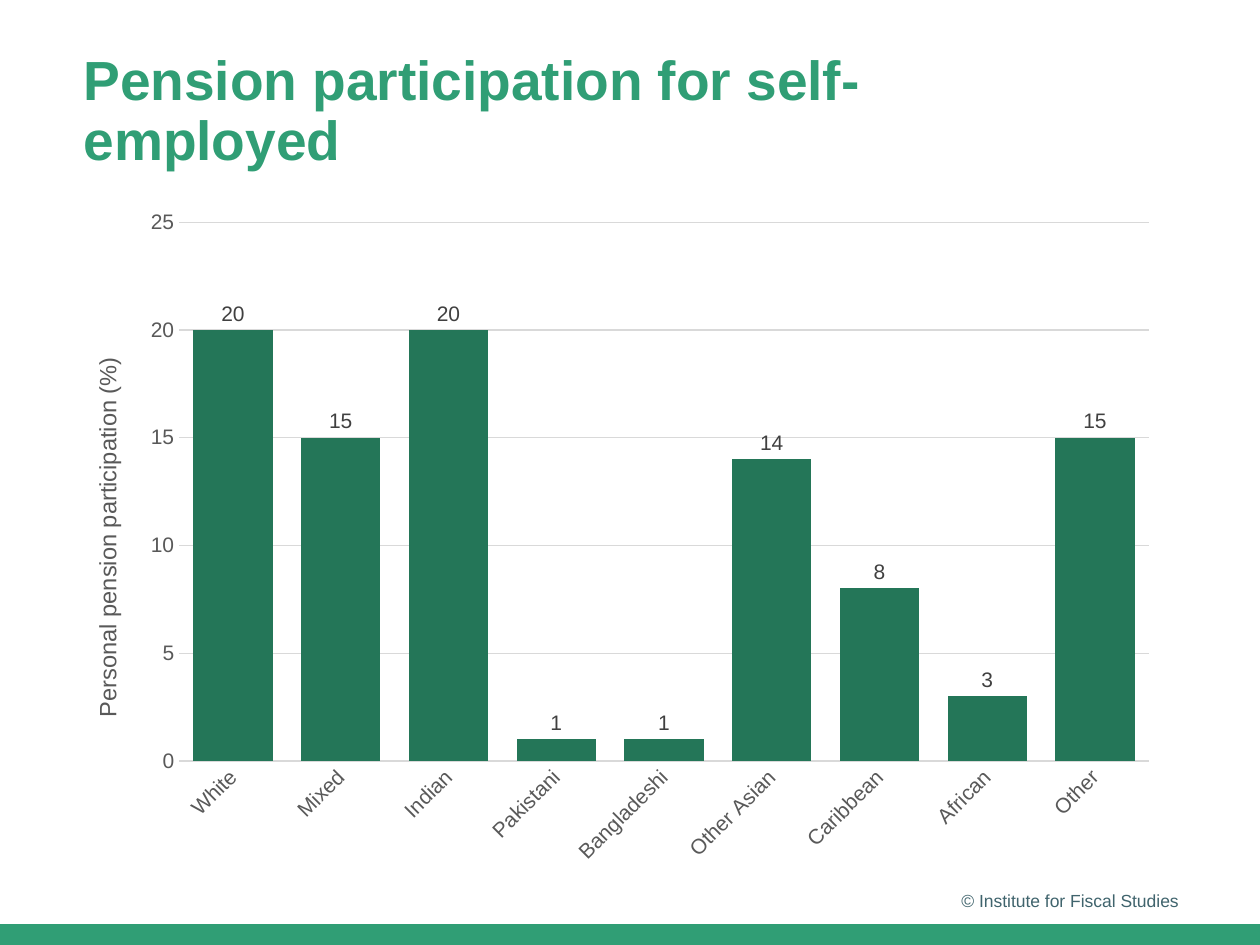
import pptx
import pptx.chart.data
import pptx.dml.color
import pptx.enum.chart
import pptx.enum.shapes
import pptx.enum.text
import pptx.oxml
import pptx.oxml.ns
import pptx.util

RGB = pptx.dml.color.RGBColor
GREEN = RGB(0x30, 0x9E, 0x75)
BAR_GREEN = RGB(0x24, 0x76, 0x58)
SLATE = RGB(0x40, 0x64, 0x6D)
AXIS_GREY = RGB(0x59, 0x59, 0x59)
LABEL_GREY = RGB(0x40, 0x40, 0x40)
GRID_GREY = RGB(0xD9, 0xD9, 0xD9)

RATES = {"White": 20, "Mixed": 15, "Indian": 20, "Pakistani": 1,
         "Bangladeshi": 1, "Other Asian": 14, "Caribbean": 8,
         "African": 3, "Other": 15}
PLOT = {"x": 0.1, "y": 0.04, "w": 0.88, "h": 0.79}


def px(n):
    """Convert pixels to EMU."""
    return pptx.util.Emu(round(n * 914400 / 126))


def set_font(font, size, color, bold=False):
    """Set the Arial font, its size, colour and weight."""
    font.name = "Arial"
    font.size = pptx.util.Pt(size)
    font.bold = bold
    font.color.rgb = color


def add_title(s, x, y, w, h):
    """Place and fill the title placeholder."""
    sp = s.shapes.title
    sp.left, sp.top, sp.width, sp.height = px(x), px(y), px(w), px(h)
    tf = sp.text_frame
    tf.word_wrap = True
    tf.auto_size = pptx.enum.text.MSO_AUTO_SIZE.NONE
    tf.vertical_anchor = pptx.enum.text.MSO_ANCHOR.TOP
    p = tf.paragraphs[0]
    p.alignment = pptx.enum.text.PP_ALIGN.LEFT
    p.line_spacing = 0.9
    r = p.add_run()
    r.text = "Pension participation for self-employed"
    set_font(r.font, 31.5, GREEN, True)


def place_plot(chart):
    """Fix the inner plot area as fractions of the chart."""
    qn = pptx.oxml.ns.qn
    area = chart._chartSpace.find(".//" + qn("c:plotArea"))
    for old in area.findall(qn("c:layout")):
        area.remove(old)
    sizes = "".join(f'<c:{k} val="{v}"/>' for k, v in PLOT.items())
    area.insert(0, pptx.oxml.parse_xml(
        f'<c:layout {pptx.oxml.ns.nsdecls("c")}><c:manualLayout>'
        '<c:layoutTarget val="inner"/><c:xMode val="edge"/>'
        f'<c:yMode val="edge"/>{sizes}</c:manualLayout></c:layout>'))


def format_axes(chart):
    """Style the category and value axes."""
    tick = pptx.enum.chart.XL_TICK_MARK.NONE
    cat, val = chart.category_axis, chart.value_axis
    for axis in (cat, val):
        axis.major_tick_mark = axis.minor_tick_mark = tick
        set_font(axis.tick_labels.font, 12, AXIS_GREY)
    for line in (cat.format.line, val.major_gridlines.format.line):
        line.color.rgb = GRID_GREY
        line.width = pptx.util.Pt(0.75)
    body = cat._element.find(".//" + pptx.oxml.ns.qn("a:bodyPr"))
    body.set("rot", "-2700000")
    body.set("vert", "horz")
    val.format.line.fill.background()
    val.minimum_scale, val.maximum_scale, val.major_unit = 0, 25, 5
    val.tick_labels.number_format = "0"
    val.tick_labels.number_format_is_linked = False
    r = val.axis_title.text_frame.paragraphs[0].add_run()
    r.text = "Personal pension participation (%)"
    set_font(r.font, 13.5, AXIS_GREY)


def add_rate_chart(s, x, y, w, h):
    """Add the column chart of participation by ethnic group."""
    data = pptx.chart.data.CategoryChartData(number_format="0")
    data.categories = list(RATES)
    data.add_series("Series 1", list(RATES.values()))
    chart = s.shapes.add_chart(
        pptx.enum.chart.XL_CHART_TYPE.COLUMN_CLUSTERED,
        px(x), px(y), px(w), px(h), data).chart
    chart.has_legend = False
    chart.has_title = False
    set_font(chart.font, 10, RGB(0, 0, 0))
    plot = chart.plots[0]
    plot.vary_by_categories = False
    plot.gap_width, plot.overlap = 36, -27
    fill = plot.series[0].format.fill
    fill.solid()
    fill.fore_color.rgb = BAR_GREEN
    labels = plot.series[0].data_labels
    labels.show_value = True
    labels.position = pptx.enum.chart.XL_LABEL_POSITION.OUTSIDE_END
    labels.number_format = "0"
    labels.number_format_is_linked = False
    set_font(labels.font, 12, LABEL_GREY)
    format_axes(chart)
    place_plot(chart)


def add_copyright(s, x, y, w, h):
    """Add the right-aligned copyright line."""
    tf = s.shapes.add_textbox(px(x), px(y), px(w), px(h)).text_frame
    tf.word_wrap = True
    tf.vertical_anchor = pptx.enum.text.MSO_ANCHOR.MIDDLE
    p = tf.paragraphs[0]
    p.alignment = pptx.enum.text.PP_ALIGN.RIGHT
    r = p.add_run()
    r.text = "© Institute for Fiscal Studies"
    set_font(r.font, 10, SLATE)


def add_footer_band(s, x, y, w, h):
    """Add the green band along the bottom edge."""
    sp = s.shapes.add_shape(pptx.enum.shapes.MSO_SHAPE.RECTANGLE,
                            px(x), px(y), px(w), px(h))
    sp.shadow.inherit = False
    sp.fill.solid()
    sp.fill.fore_color.rgb = GREEN
    sp.line.fill.background()


def main():
    """Build and save the slide."""
    prs = pptx.Presentation()
    prs.slide_width, prs.slide_height = px(1260), px(945)
    s = prs.slides.add_slide(prs.slide_layouts[5])
    add_footer_band(s, 0, 924, 1260, 21)
    add_rate_chart(s, 69, 195, 1102, 682)
    add_copyright(s, 907, 876, 284, 50)
    add_title(s, 71, 47, 942, 79)
    prs.save("out.pptx")


if __name__ == "__main__":
    main()
